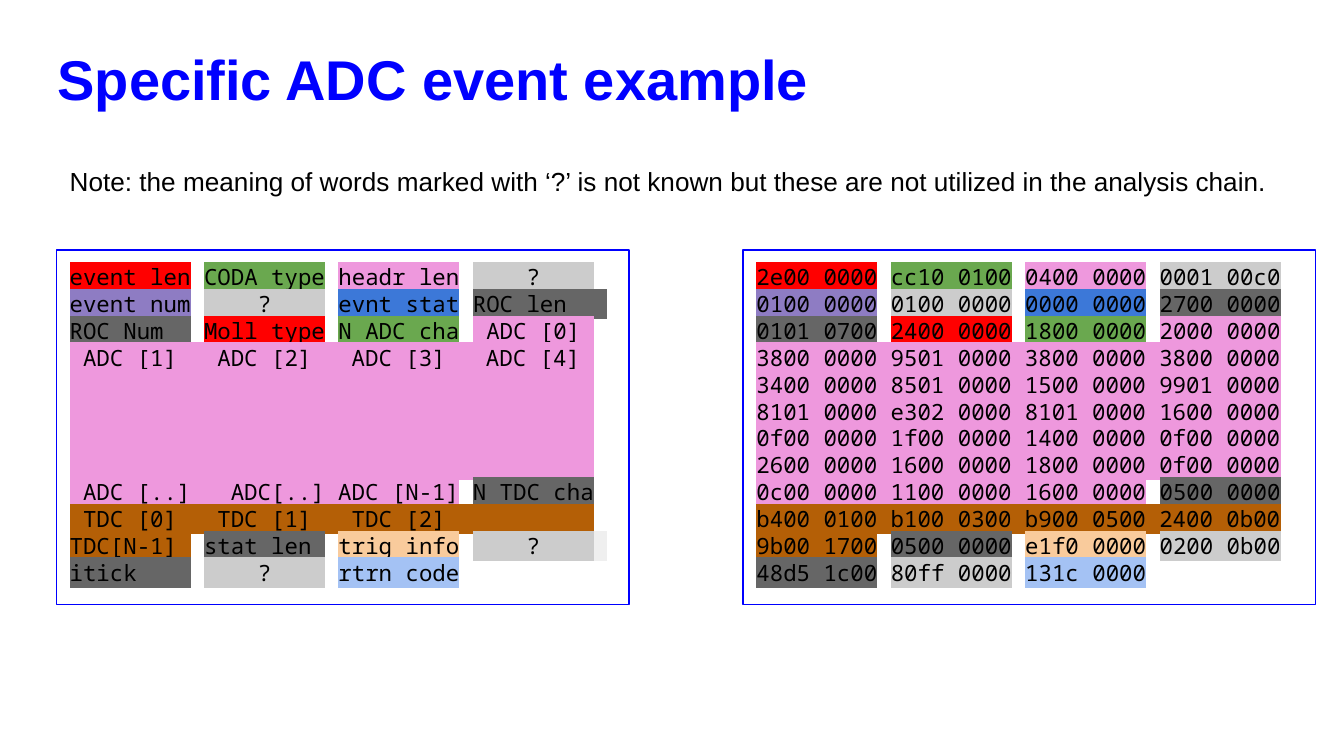
from itertools import groupby

from lxml.etree import SubElement
from pptx import Presentation
from pptx.dml.color import RGBColor
from pptx.enum.shapes import MSO_SHAPE
from pptx.enum.text import MSO_ANCHOR, PP_ALIGN
from pptx.oxml.ns import qn
from pptx.util import Inches, Pt

BLACK = RGBColor(0x00, 0x00, 0x00)
BLUE = RGBColor(0x00, 0x00, 0xFF)
RED = RGBColor(0xFF, 0x00, 0x00)
GREEN = RGBColor(0x6A, 0xA8, 0x4F)
PINK = RGBColor(0xEE, 0x98, 0xDD)
SILVER = RGBColor(0xCC, 0xCC, 0xCC)
PURPLE = RGBColor(0x8E, 0x7C, 0xC3)
AZURE = RGBColor(0x3C, 0x78, 0xD8)
GREY = RGBColor(0x66, 0x66, 0x66)
BROWN = RGBColor(0xB4, 0x5F, 0x06)
PEACH = RGBColor(0xF9, 0xCB, 0x9C)
SKY = RGBColor(0xA4, 0xC2, 0xF4)
PALE = RGBColor(0xEF, 0xEF, 0xEF)

WORD_WIDTH = 9
WORD_COLOURS = [
    [RED, GREEN, PINK, SILVER],
    [PURPLE, SILVER, AZURE, GREY],
    [GREY, RED, GREEN, PINK],
    *[[PINK] * 4] * 5,
    [PINK, PINK, PINK, GREY],
    [BROWN] * 4,
    [BROWN, GREY, PEACH, SILVER],
    [GREY, SILVER, SKY],
]
MEANINGS = [
    "event len|CODA type|headr len|?",
    "event num|?|evnt stat|ROC len",
    "ROC Num|Moll type|N ADC cha|ADC [0]",
    "ADC [1]|ADC [2]|ADC [3]|ADC [4]",
    *["|||"] * 4,
    "ADC [..]|  ADC[..]|ADC [N-1]|N TDC cha",
    "TDC [0]|TDC [1]|TDC [2]|",
    "TDC[N-1]|stat len|trig info|?",
    "itick|?|rtrn code",
]
MEANING_TAILS = {1: GREY, 10: PALE}
VALUES = [
    "2e00 0000|cc10 0100|0400 0000|0001 00c0",
    "0100 0000|0100 0000|0000 0000|2700 0000",
    "0101 0700|2400 0000|1800 0000|2000 0000",
    "3800 0000|9501 0000|3800 0000|3800 0000",
    "3400 0000|8501 0000|1500 0000|9901 0000",
    "8101 0000|e302 0000|8101 0000|1600 0000",
    "0f00 0000|1f00 0000|1400 0000|0f00 0000",
    "2600 0000|1600 0000|1800 0000|0f00 0000",
    "0c00 0000|1100 0000|1600 0000|0500 0000",
    "b400 0100|b100 0300|b900 0500|2400 0b00",
    "9b00 1700|0500 0000|e1f0 0000|0200 0b00",
    "48d5 1c00|80ff 0000|131c 0000",
]


def add_run(paragraph, text, font="Arial", size=14, colour=BLACK, bold=False, highlight=None):
    """Add a formatted run, with a highlight if one is given."""
    run = paragraph.add_run()
    run.text = text
    run.font.name = font
    run.font.size = Pt(size)
    run.font.bold = bold
    run.font.color.rgb = colour
    if highlight is not None:
        properties = run._r.get_or_add_rPr()
        mark = SubElement(properties, qn("a:highlight"))
        SubElement(mark, qn("a:srgbClr"), val=str(highlight))
        properties.find(qn("a:solidFill")).addnext(mark)


def prepare_frame(shape):
    """Set the margins, wrapping and anchor of a shape's text."""
    frame = shape.text_frame
    frame.word_wrap = True
    frame.vertical_anchor = MSO_ANCHOR.TOP
    frame.margin_left = frame.margin_right = Inches(0.1)
    frame.margin_top = frame.margin_bottom = Inches(0.1)
    return frame


def add_label(slide, left, top, width, height, text, **text_format):
    """Add a text box with one formatted line."""
    box = slide.shapes.add_textbox(Inches(left), Inches(top), Inches(width), Inches(height))
    add_run(prepare_frame(box).paragraphs[0], text, **text_format)


def pad_word(word):
    """Pad a word to the column width, centring channel names and unknowns."""
    centred = word == "?" or "DC [" in word
    return word.center(WORD_WIDTH) if centred else word.ljust(WORD_WIDTH)


def add_word_row(paragraph, words, colours, tail):
    """Write one row of words, joining neighbours of one colour."""
    groups = groupby(zip(words, colours), key=lambda pair: pair[1])
    for index, (colour, pairs) in enumerate(groups):
        if index:
            add_run(paragraph, " ", font="Noto Sans Mono", size=12)
        text = " ".join(pad_word(word) for word, _ in pairs)
        add_run(paragraph, text, font="Noto Sans Mono", size=12, highlight=colour)
    if tail is not None:
        add_run(paragraph, " ", font="Noto Sans Mono", size=12, highlight=tail)


def add_word_panel(slide, left, rows, tails):
    """Add an outlined panel of colour-coded event words."""
    panel = slide.shapes.add_shape(
        MSO_SHAPE.RECTANGLE, Inches(left), Inches(1.86), Inches(4.26), Inches(2.64)
    )
    panel.shadow.inherit = False
    panel.fill.background()
    panel.line.color.rgb = BLUE
    panel.line.width = Pt(0.75)
    frame = prepare_frame(panel)
    for index, (row, colours) in enumerate(zip(rows, WORD_COLOURS)):
        paragraph = frame.add_paragraph() if index else frame.paragraphs[0]
        paragraph.alignment = PP_ALIGN.LEFT
        add_word_row(paragraph, row.split("|"), colours, tails.get(index))


def main():
    """Build the slide and save it."""
    presentation = Presentation()
    presentation.slide_width = Inches(10)
    presentation.slide_height = Inches(10) * 9 // 16
    slide = presentation.slides.add_slide(presentation.slide_layouts[6])
    add_word_panel(slide, 0.42, MEANINGS, MEANING_TAILS)
    add_label(slide, 0.33, 0.23, 8.28, 0.59, "Specific ADC event example",
              size=30, colour=BLUE, bold=True)
    add_word_panel(slide, 5.53, VALUES, {})
    add_label(slide, 0.42, 1.13, 9.37, 0.7,
              "Note: the meaning of words marked with ‘?’ is not known "
              "but these are not utilized in the analysis chain.")
    presentation.save("out.pptx")


if __name__ == "__main__":
    main()
